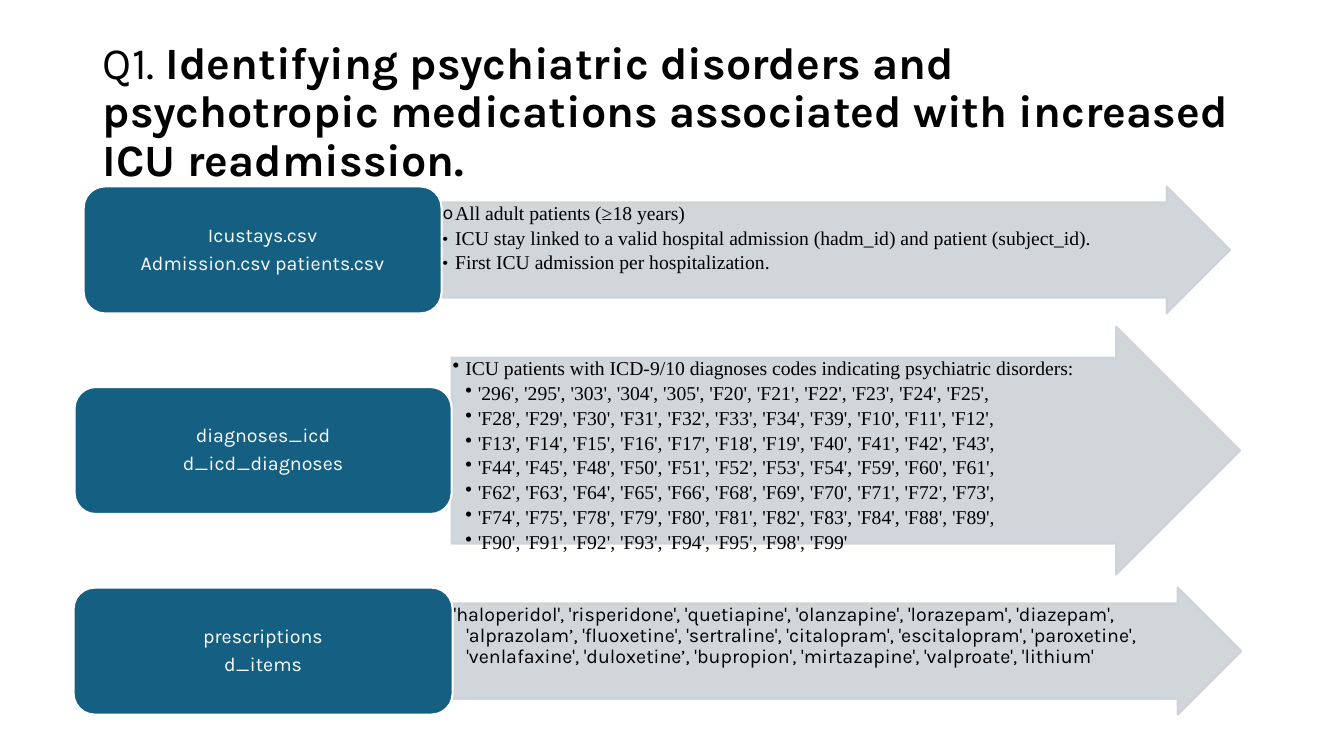
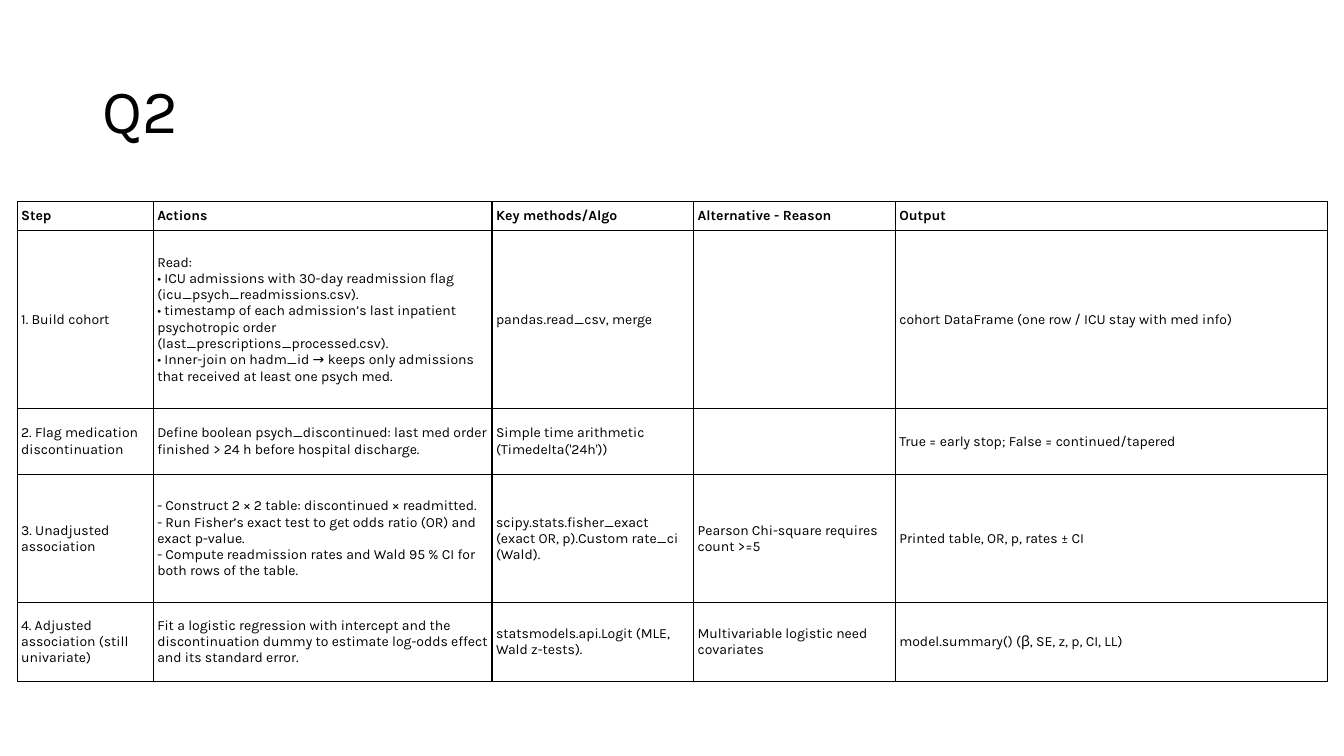
"""Builds two study-design slides: cohort sources and an analysis plan table."""
from dataclasses import dataclass

from lxml import etree
from pptx import Presentation
from pptx import util as u
from pptx.dml.color import RGBColor
from pptx.enum import shapes, text
from pptx.oxml.ns import qn


@dataclass(frozen=True)
class Theme:
    ink: str = "000000"
    paper: str = "FFFFFF"
    label: str = "156082"
    arrow: str = "CCD2D8"
    sans: str = "Karla"
    serif: str = "Times New Roman"
    title_size: int = 44
    long_title_size: int = 32
    body_size: int = 14
    table_size: int = 10
    outline: float = 1.5
    border: float = 1
    tight: float = 0.9


THEME = Theme()
WIDTH, HEIGHT = 13.33, 7.5
TITLE_BOX = (0.92, 0.4, 11.5, 1.45)

COHORT_TITLE = [
    ("Q1. ", False),
    ("Identifying psychiatric disorders and psychotropic medications "
     "associated with increased ICU readmission.", True),
]
SOURCES = [
    dict(left=0.83, split=4.38, height=1.26, font=THEME.serif,
         label=["Icustays.csv", "Admission.csv patients.csv"],
         lines=[
             (1, "o", "All adult patients (≥18 years)"),
             (1, "•", "ICU stay linked to a valid hospital admission (hadm_id) and patient (subject_id)."),
             (1, "•", "First ICU admission per hospitalization."),
         ]),
    dict(left=0.74, split=4.48, height=2.46, font=THEME.serif,
         label=["diagnoses_icd", "d_icd_diagnoses"],
         lines=[
             (1, "•", "ICU patients with ICD-9/10 diagnoses codes indicating psychiatric disorders:"),
             (2, "•", "'296', '295', '303', '304', '305', 'F20', 'F21', 'F22', 'F23', 'F24', 'F25',"),
             (2, "•", "'F28', 'F29', 'F30', 'F31', 'F32', 'F33', 'F34', 'F39', 'F10', 'F11', 'F12',"),
             (2, "•", "'F13', 'F14', 'F15', 'F16', 'F17', 'F18', 'F19', 'F40', 'F41', 'F42', 'F43',"),
             (2, "•", "'F44', 'F45', 'F48', 'F50', 'F51', 'F52', 'F53', 'F54', 'F59', 'F60', 'F61',"),
             (2, "•", "'F62', 'F63', 'F64', 'F65', 'F66', 'F68', 'F69', 'F70', 'F71', 'F72', 'F73',"),
             (2, "•", "'F74', 'F75', 'F78', 'F79', 'F80', 'F81', 'F82', 'F83', 'F84', 'F88', 'F89',"),
             (2, "•", "'F90', 'F91', 'F92', 'F93', 'F94', 'F95', 'F98', 'F99'"),
         ]),
    dict(left=0.73, split=4.49, height=1.26, font=THEME.sans,
         label=["prescriptions", "d_items"],
         lines=[
             (1, None,
              "'haloperidol', 'risperidone', 'quetiapine', 'olanzapine', 'lorazepam', 'diazepam', "
              "'alprazolam’, 'fluoxetine', 'sertraline', 'citalopram', 'escitalopram', 'paroxetine', "
              "'venlafaxine', 'duloxetine’, 'bupropion', 'mirtazapine', 'valproate', 'lithium'"),
         ]),
]
STACK_TOP, STACK_GAP = 1.85, 0.13
LABEL_HEIGHT, ARROW_WIDTH = 1.26, 7.82

PLAN_TITLE = [("Q2", False)]
PLAN_AT = (0.17, 2)
PLAN_COLUMNS = [1.35, 3.36, 2, 2, 4.29]
PLAN_HEIGHTS = [0.29, 1.76, 0.66, 1.27, 0.78]
PLAN = [
    ["Step", "Actions", "Key methods/Algo", "Alternative - Reason", "Output"],
    ["1. Build cohort",
     "Read:\n"
     "• ICU admissions with 30-day readmission flag (icu_psych_readmissions.csv).\n"
     "• timestamp of each admission’s last inpatient psychotropic order (last_prescriptions_processed.csv).\n"
     "• Inner-join on hadm_id → keeps only admissions that received at least one psych med.",
     "pandas.read_csv, merge", "",
     "cohort DataFrame (one row / ICU stay with med info)"],
    ["2. Flag medication discontinuation",
     "Define boolean psych_discontinued: last med order finished > 24 h before hospital discharge.",
     "Simple time arithmetic (Timedelta('24h'))", "",
     "True = early stop; False = continued/tapered"],
    ["3. Unadjusted association",
     "- Construct 2 × 2 table: discontinued × readmitted.\n"
     "- Run Fisher’s exact test to get odds ratio (OR) and exact p-value.\n"
     "- Compute readmission rates and Wald 95 % CI for both rows of the table.",
     "scipy.stats.fisher_exact (exact OR, p).Custom rate_ci (Wald).",
     "Pearson Chi-square requires count >=5",
     "Printed table, OR, p, rates ± CI"],
    ["4. Adjusted association (still univariate)",
     "Fit a logistic regression with intercept and the discontinuation dummy "
     "to estimate log-odds effect and its standard error.",
     "statsmodels.api.Logit (MLE, Wald z-tests).",
     "Multivariable logistic need covariates",
     "model.summary() (β, SE, z, p, CI, LL)"],
]


def inches(*values):
    return [u.Inches(value) for value in values]


def style(span, size, color=THEME.ink, font=THEME.sans, bold=False):
    span.font.size = u.Pt(size)
    span.font.name = font
    span.font.bold = bold
    span.font.color.rgb = RGBColor.from_string(color)


def set_insets(holder, across, down):
    holder.margin_left = holder.margin_right = u.Inches(across)
    holder.margin_top = holder.margin_bottom = u.Inches(down)


def add_page(deck, title):
    page = deck.slides.add_slide(deck.slide_layouts[5])
    box = page.shapes.title
    box.left, box.top, box.width, box.height = inches(*TITLE_BOX)
    frame = box.text_frame
    frame.word_wrap = True
    frame.auto_size = text.MSO_AUTO_SIZE.NONE
    frame.vertical_anchor = text.MSO_ANCHOR.MIDDLE
    para = frame.paragraphs[0]
    para.alignment = text.PP_ALIGN.LEFT
    para.line_spacing = THEME.tight
    size = THEME.long_title_size if len(title) > 1 else THEME.title_size
    for words, bold in title:
        span = para.add_run()
        span.text = words
        style(span, size, bold=bold)
    return page


def add_block(page, kind, place, fill, line, lines, anchor, insets):
    block = page.shapes.add_shape(kind, *inches(*place))
    block.shadow.inherit = False
    block.fill.solid()
    block.fill.fore_color.rgb = RGBColor.from_string(fill)
    block.line.color.rgb = RGBColor.from_string(line)
    block.line.width = u.Pt(THEME.outline)
    frame = block.text_frame
    frame.word_wrap = True
    frame.vertical_anchor = anchor
    set_insets(frame, *insets)
    frame.text = "\n".join(lines)
    return block


def set_bullet(para, level, mark):
    para.level = level
    props = para._p.get_or_add_pPr()
    props.set("marL", str(u.Inches(0.125 * level)))
    props.set("indent", str(-u.Inches(0.125)))
    if mark is None:
        etree.SubElement(props, qn("a:buNone"))
        return
    if mark == "o":
        etree.SubElement(props, qn("a:buFont")).set("typeface", THEME.sans)
    etree.SubElement(props, qn("a:buChar")).set("char", mark)


def add_arrow(page, source, top):
    arrow = add_block(
        page, shapes.MSO_SHAPE.RIGHT_ARROW,
        (source["split"], top, ARROW_WIDTH, source["height"]),
        THEME.arrow, THEME.arrow, [line[2] for line in source["lines"]],
        text.MSO_ANCHOR.TOP, (0.01, 0.01))
    arrow.adjustments[0], arrow.adjustments[1] = 0.75, 0.5
    for color in arrow._element.spPr.iter(qn("a:srgbClr")):
        etree.SubElement(color, qn("a:alpha")).set("val", "90000")
    for para, (level, mark, _) in zip(arrow.text_frame.paragraphs, source["lines"]):
        para.alignment = text.PP_ALIGN.LEFT
        para.line_spacing = THEME.tight
        para.space_after = u.Pt(2.6)
        set_bullet(para, level, mark)
        style(para.runs[0], THEME.body_size, font=source["font"])


def add_label(page, source, top):
    middle = top + source["height"] / 2
    label = add_block(
        page, shapes.MSO_SHAPE.ROUNDED_RECTANGLE,
        (source["left"], middle - LABEL_HEIGHT / 2,
         source["split"] - source["left"], LABEL_HEIGHT),
        THEME.label, THEME.paper, source["label"],
        text.MSO_ANCHOR.MIDDLE, (0.06, 0.03))
    for para in label.text_frame.paragraphs:
        para.alignment = text.PP_ALIGN.CENTER
        para.line_spacing = THEME.tight
        para.space_after = u.Pt(4.9)
        style(para.runs[0], THEME.body_size, THEME.paper)


def set_borders(cell):
    props = cell._tc.get_or_add_tcPr()
    for index, edge in enumerate(("lnL", "lnR", "lnT", "lnB")):
        line = etree.Element(qn(f"a:{edge}"), w=str(u.Pt(THEME.border)))
        fill = etree.SubElement(line, qn("a:solidFill"))
        etree.SubElement(fill, qn("a:srgbClr")).set("val", THEME.ink)
        props.insert(index, line)


def add_plan(page):
    size = (sum(PLAN_COLUMNS), sum(PLAN_HEIGHTS))
    table = page.shapes.add_table(
        len(PLAN), len(PLAN_COLUMNS), *inches(*PLAN_AT, *size)).table
    table.first_row = table.horz_banding = False
    for column, width in zip(table.columns, PLAN_COLUMNS):
        column.width = u.Inches(width)
    for row, height in zip(table.rows, PLAN_HEIGHTS):
        row.height = u.Inches(height)
    for row_index, entries in enumerate(PLAN):
        for column_index, words in enumerate(entries):
            cell = table.cell(row_index, column_index)
            cell.fill.background()
            cell.vertical_anchor = text.MSO_ANCHOR.MIDDLE
            set_insets(cell, 0.04, 0.02)
            set_borders(cell)
            cell.text_frame.text = words
            for para in cell.text_frame.paragraphs:
                for span in para.runs:
                    style(span, THEME.table_size, bold=row_index == 0)


def main():
    deck = Presentation()
    deck.slide_width, deck.slide_height = inches(WIDTH, HEIGHT)
    page = add_page(deck, COHORT_TITLE)
    top = STACK_TOP
    for source in SOURCES:
        add_arrow(page, source, top)
        add_label(page, source, top)
        top += source["height"] + STACK_GAP
    add_plan(add_page(deck, PLAN_TITLE))
    deck.save("out.pptx")


if __name__ == "__main__":
    main()
